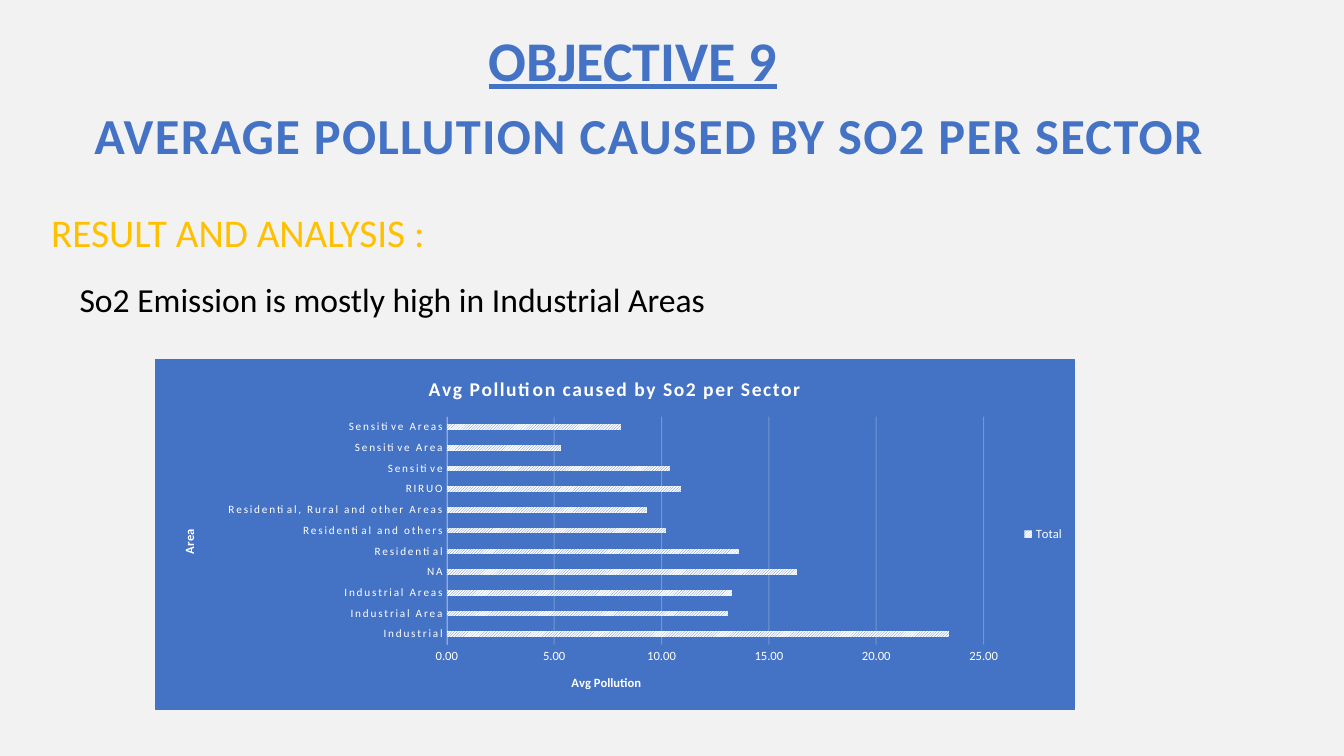
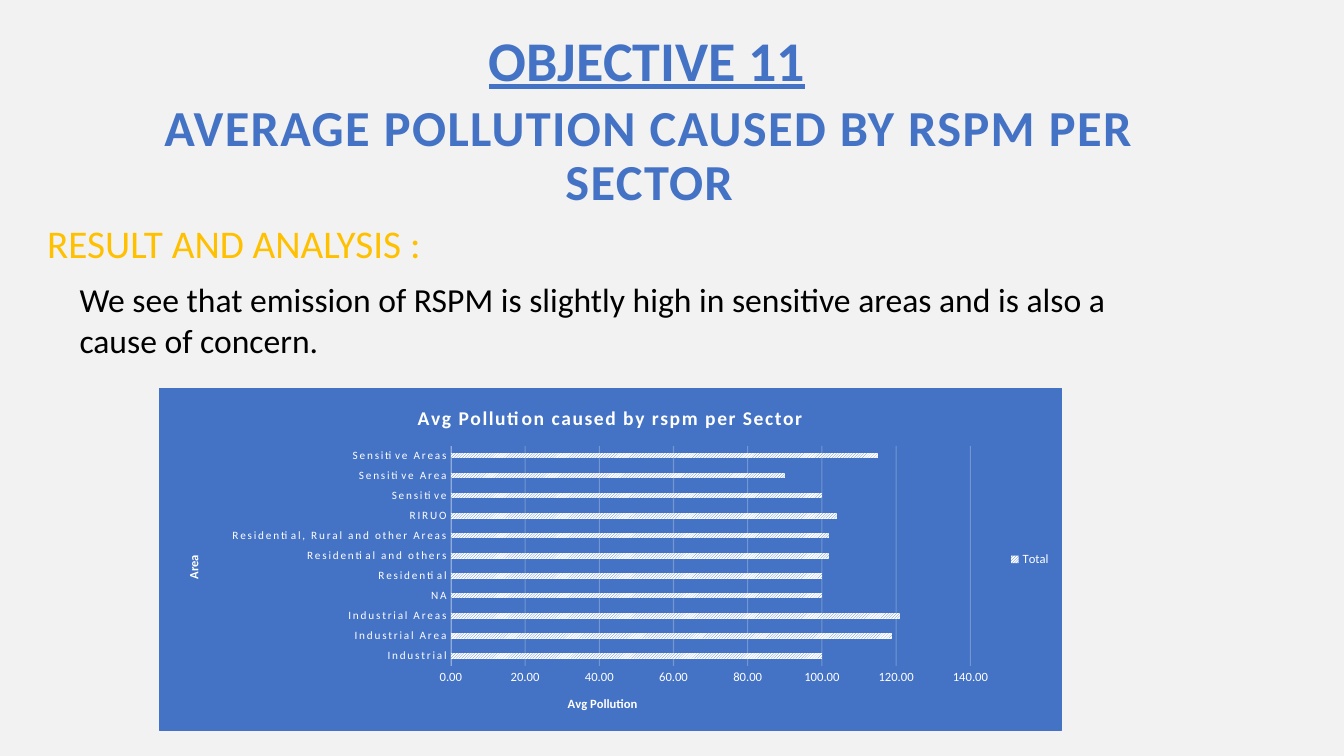
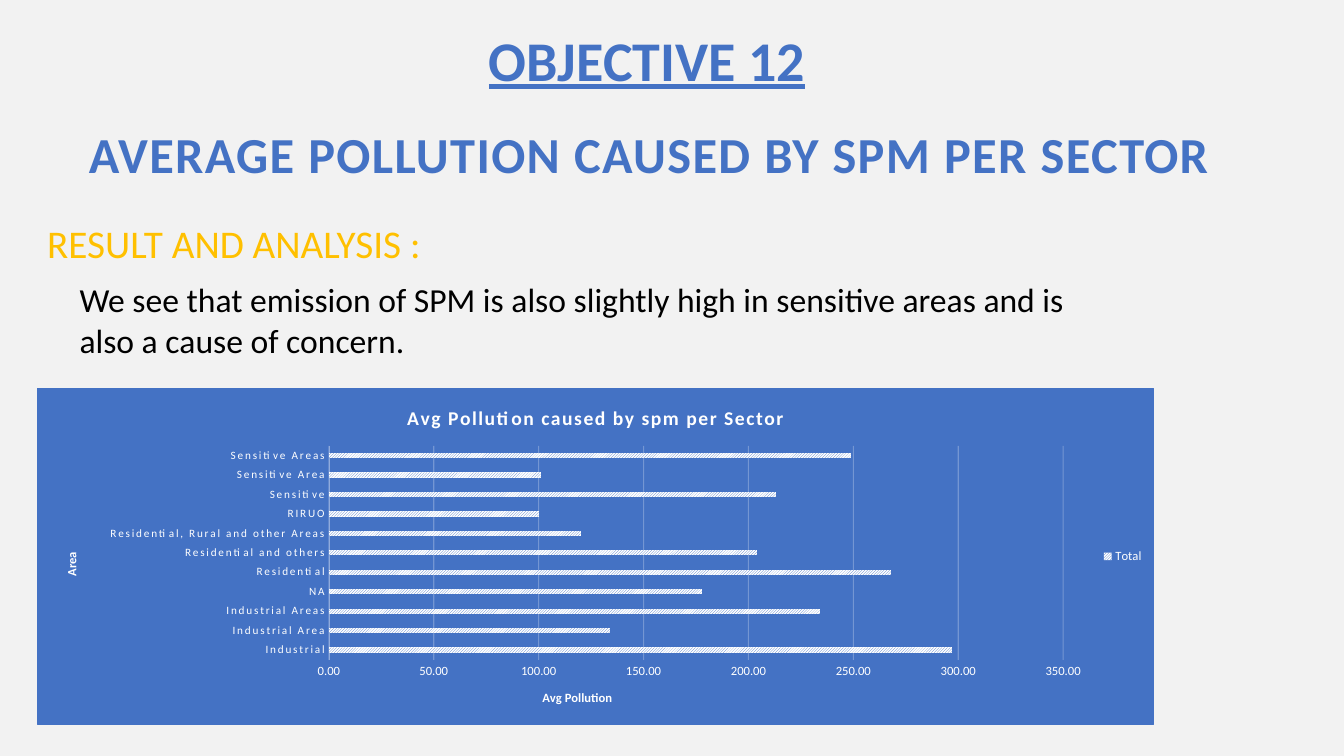
import pptx
import pptx.chart.data
import pptx.dml.color
import pptx.enum.chart
import pptx.enum.dml
import pptx.enum.text
import pptx.oxml
import pptx.oxml.ns
import pptx.util
from pptx.util import Inches

FONT = "Calibri"
BACKGROUND, BLUE, PALE_BLUE = "F2F2F2", "4472C4", "8FAADC"
GOLD, BLACK, WHITE = "FFC000", "000000", "FFFFFF"

AREAS = ["Industrial", "Industrial Area", "Industrial Areas", "NA", "Residential",
         "Residential and others", "Residential, Rural and other Areas", "RIRUO",
         "Sensitive", "Sensitive Area", "Sensitive Areas"]

# Space around the bars inside every chart, in inches
PLOT_LEFT, PLOT_TOP, PLOT_RIGHT, PLOT_BOTTOM = 2.89, 0.57, 0.9, 0.64

OBJECTIVES = [
    dict(number=9, pollutant="So2", objective_width=3.09,
         title_box=(0.69, 0.98, 11.5, 0.78), result_at=(0.41, 2.02),
         finding="So2 Emission is mostly high in Industrial Areas", finding_height=0.5,
         chart_box=(1.54, 3.56, 9.12, 3.48),
         averages=[23.4, 13.1, 13.3, 16.3, 13.6, 10.2, 9.3, 10.9, 10.4, 5.3, 8.1]),
    dict(number=11, pollutant="rspm", objective_width=3.37,
         title_box=(0.69, 1.1, 11.5, 0.92), result_at=(0.37, 2.13),
         finding="We see that emission of RSPM is slightly high in sensitive areas "
                 "and is also a cause of concern.", finding_height=0.91,
         chart_box=(1.58, 3.85, 8.95, 3.4),
         averages=[100, 119, 121, 100, 100, 102, 102, 104, 100, 90, 115]),
    dict(number=12, pollutant="spm", objective_width=3.37,
         title_box=(0.69, 1.1, 11.5, 0.92), result_at=(0.37, 2.13),
         finding="We see that emission of SPM is also slightly high in sensitive areas "
                 "and is also a cause of concern.", finding_height=0.91,
         chart_box=(0.37, 3.85, 11.08, 3.34),
         averages=[297, 134, 234, 178, 268, 204, 120, 100, 213, 101, 249]),
]


def rgb(color):
    return pptx.dml.color.RGBColor.from_string(color)


def style_font(font, size, color, bold=False, underline=False):
    font.name = FONT
    font.size = pptx.util.Pt(size)
    font.color.rgb = rgb(color)
    font.bold = bold
    font.underline = underline


def add_run(paragraph, text, size, color, spacing=0, **style):
    run = paragraph.add_run()
    run.text = text
    style_font(run.font, size, color, **style)
    if spacing:
        run.font._element.set("spc", str(int(spacing * 100)))


# Text on the slide

def fill_title(slide, text, box):
    title = slide.shapes.title
    title.left, title.top, title.width, title.height = map(Inches, box)
    frame = title.text_frame
    frame.auto_size = pptx.enum.text.MSO_AUTO_SIZE.NONE
    frame.vertical_anchor = pptx.enum.text.MSO_ANCHOR.MIDDLE
    paragraph = frame.paragraphs[0]
    paragraph.alignment = pptx.enum.text.PP_ALIGN.CENTER
    paragraph.line_spacing = 0.9
    add_run(paragraph, text, 36, BLUE, spacing=1, bold=True)


def add_text(slide, text, box, size, color, wrap=True, **style):
    frame = slide.shapes.add_textbox(*map(Inches, box)).text_frame
    frame.word_wrap = wrap
    frame.auto_size = pptx.enum.text.MSO_AUTO_SIZE.SHAPE_TO_FIT_TEXT
    add_run(frame.paragraphs[0], text, size, color, **style)


# Chart parts

def chart_xml(tag, content):
    return pptx.oxml.parse_xml(
        f'<c:{tag} {pptx.oxml.ns.nsdecls("c", "a")}>{content}</c:{tag}>')


def set_layout(element, position, **fractions):
    """Place a chart part by fractions of the chart's width and height."""
    for old in element.findall(pptx.oxml.ns.qn("c:layout")):
        element.remove(old)
    target = '<c:layoutTarget val="inner"/>' if "w" in fractions else ""
    modes = '<c:xMode val="edge"/><c:yMode val="edge"/>'
    sizes = "".join(f'<c:{key} val="{value:.4f}"/>' for key, value in fractions.items())
    layout = chart_xml("layout", f"<c:manualLayout>{target}{modes}{sizes}</c:manualLayout>")
    element.insert(position, layout)


def fill_chart_background(chart):
    solid = f'<a:solidFill><a:srgbClr val="{BLUE}"/></a:solidFill>'
    area = chart_xml("spPr", f'{solid}<a:ln w="9525">{solid}</a:ln>')
    chart.element.find(pptx.oxml.ns.qn("c:chart")).addnext(area)


def style_axis(axis, title, size, x, y):
    axis.major_tick_mark = axis.minor_tick_mark = pptx.enum.chart.XL_TICK_MARK.NONE
    style_font(axis.tick_labels.font, size, WHITE)
    frame = axis.axis_title.text_frame
    add_run(frame.paragraphs[0], title, 9, WHITE, bold=True)
    set_layout(axis.axis_title.element, 1, x=x, y=y)
    return frame


def style_area_axis(axis, width):
    frame = style_axis(axis, "Area", 8, 0.23 / width, 0.48)
    body = frame._txBody.find(pptx.oxml.ns.qn("a:bodyPr"))
    body.set("rot", "-5400000")
    body.set("vert", "horz")
    axis.tick_labels.font._element.set("spc", "120")
    axis.format.line.color.rgb = rgb(PALE_BLUE)
    axis.format.line.width = pptx.util.Pt(0.25)


def style_pollution_axis(axis, height):
    style_axis(axis, "Avg Pollution", 9, 0.45, 1 - 0.37 / height)
    axis.tick_labels.number_format = "0.00"
    axis.tick_labels.number_format_is_linked = False
    axis.format.line.fill.background()
    grid = axis.major_gridlines.format.line
    grid.width = pptx.util.Pt(0.75)
    grid.color.rgb = rgb(WHITE)
    for color in axis.major_gridlines._xAx.iter(pptx.oxml.ns.qn("a:srgbClr")):
        if any(parent.tag == pptx.oxml.ns.qn("c:majorGridlines")
               for parent in color.iterancestors()):
            color.append(pptx.oxml.parse_xml(
                f'<a:alpha {pptx.oxml.ns.nsdecls("a")} val="25000"/>'))


def style_bars(plot):
    plot.gap_width = 269
    plot.overlap = -20
    plot.vary_by_categories = False
    fill = plot.series[0].format.fill
    fill.patterned()
    fill.pattern = pptx.enum.dml.MSO_PATTERN.LIGHT_UPWARD_DIAGONAL
    fill.fore_color.rgb = rgb(BLUE)
    fill.back_color.rgb = rgb(WHITE)


def add_sector_chart(slide, title, averages, box):
    data = pptx.chart.data.CategoryChartData(number_format="0.00")
    data.categories = AREAS
    data.add_series("Total", averages)
    chart = slide.shapes.add_chart(
        pptx.enum.chart.XL_CHART_TYPE.BAR_CLUSTERED, *map(Inches, box), data).chart
    style_font(chart.font, 10, BLACK)
    fill_chart_background(chart)

    chart.has_title = True
    add_run(chart.chart_title.text_frame.paragraphs[0], title, 14, WHITE,
            spacing=1, bold=True)
    chart.has_legend = True
    chart.legend.position = pptx.enum.chart.XL_LEGEND_POSITION.RIGHT
    chart.legend.include_in_layout = False
    style_font(chart.legend.font, 9, WHITE)

    width, height = box[2:]
    style_area_axis(chart.category_axis, width)
    style_pollution_axis(chart.value_axis, height)
    style_bars(chart.plots[0])
    plot_area = next(chart.element.iter(pptx.oxml.ns.qn("c:plotArea")))
    set_layout(plot_area, 0, x=PLOT_LEFT / width, y=PLOT_TOP / height,
               w=1 - (PLOT_LEFT + PLOT_RIGHT) / width,
               h=1 - (PLOT_TOP + PLOT_BOTTOM) / height)


def add_objective_slide(prs, number, pollutant, objective_width, title_box, result_at,
                        finding, finding_height, chart_box, averages):
    slide = prs.slides.add_slide(prs.slide_layouts.get_by_name("Title Only"))
    fill_title(slide, f"AVERAGE POLLUTION CAUSED BY {pollutant.upper()} PER SECTOR", title_box)
    add_text(slide, f"OBJECTIVE {number}", (4.75, 0.2, objective_width, 0.77), 40, BLUE,
             wrap=False, bold=True, underline=True)
    add_text(slide, "RESULT AND ANALYSIS :", (*result_at, 3.97, 0.57), 28, GOLD)
    add_text(slide, finding, (0.69, 2.72, 10.51, finding_height), 24, BLACK)
    add_sector_chart(slide, f"Avg Pollution caused by {pollutant} per Sector",
                     averages, chart_box)


def main():
    prs = pptx.Presentation()
    prs.slide_width, prs.slide_height = Inches(13.33), Inches(7.5)
    background = prs.slide_master.background.fill
    background.solid()
    background.fore_color.rgb = rgb(BACKGROUND)
    for objective in OBJECTIVES:
        add_objective_slide(prs, **objective)
    prs.save("out.pptx")


if __name__ == "__main__":
    main()
